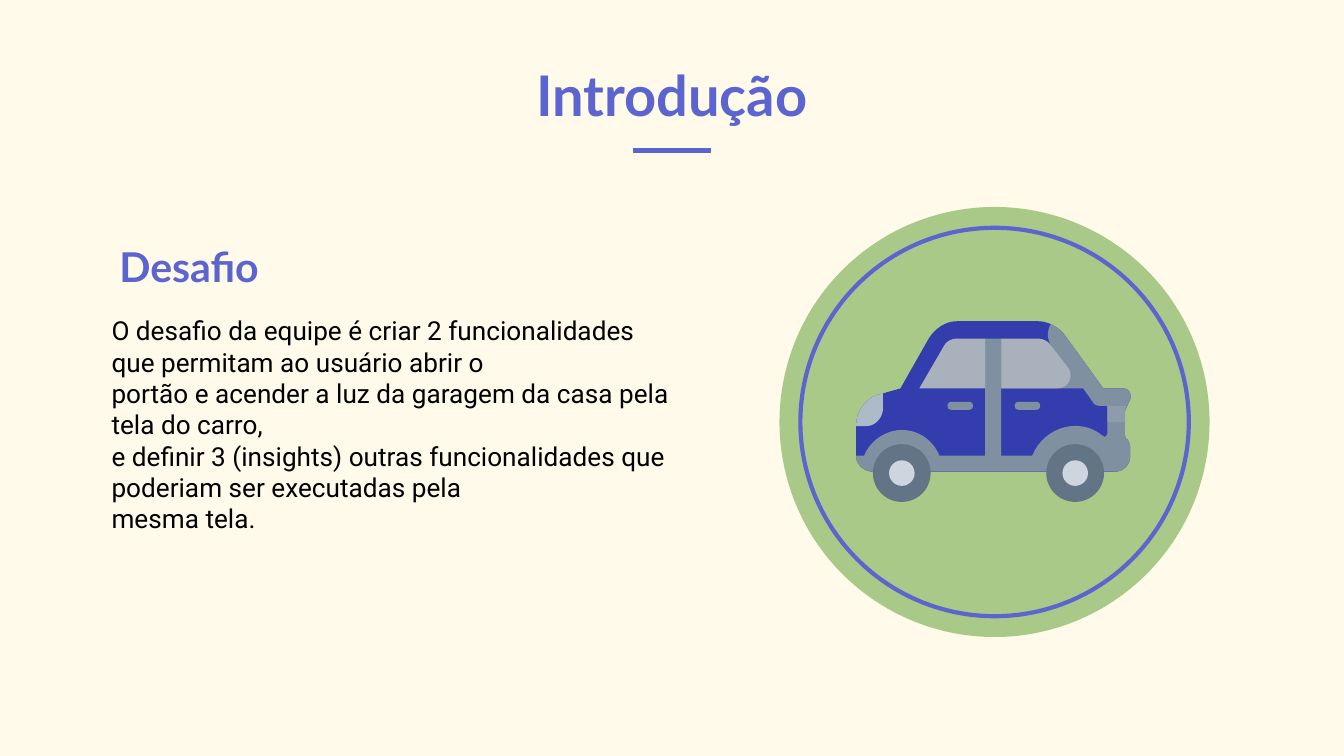
from lxml.etree import SubElement
from pptx import Presentation
from pptx.dml.color import RGBColor
from pptx.enum.shapes import MSO_CONNECTOR as Connector, MSO_SHAPE as Shape
from pptx.enum.text import MSO_ANCHOR as Anchor, MSO_AUTO_SIZE as AutoSize, PP_ALIGN as Align
from pptx.oxml.ns import qn
from pptx.util import Inches, Pt

TITLE = "Introdução"
HEADING = "Desafio"
CHALLENGE = [
    "O desafio da equipe é criar 2 funcionalidades que permitam ao usuário abrir o",
    "portão e acender a luz da garagem da casa pela tela do carro,",
    "e definir 3 (insights) outras funcionalidades que poderiam ser executadas pela",
    "mesma tela.",
]
COLORS = {
    "cream": "FFFAEA", "violet": "5C65CF", "green": "A8C987", "black": "000000",
    "paint": "333DAD", "trim": "7F91A0", "glass": "A9B2BC", "tyre": "637486",
    "hub": "CDD5DE", "headlight": "ADBAC8", "tail light": "8C9CAA",
}
WIDTH = 10
HEIGHT = WIDTH * 9 / 16
BADGE_CENTER = (7.4, 3.14)
WHEEL_CENTERS = [(6.71, 3.52), (8, 3.52)]
CURVE_STEPS = 10

# Outlines in inches: M moves, L draws a line, C draws a cubic curve, Z closes.
REAR = """L 8.29 3.51 C 8.36 3.51 8.41 3.46 8.41 3.39 L 8.41 3.33
    C 8.41 3.31 8.4 3.29 8.39 3.27 C 8.37 3.26 8.37 3.24 8.37 3.22 L 8.37 3.06
    L 8.41 2.97 C 8.42 2.93 8.4 2.89 8.36 2.89 L 8.21 2.89 L 7.92 2.49"""
HANDLES = " ".join(
    f"M {x:.2f} 2.99 C {x - .04:.2f} 2.99 {x - .04:.2f} 3.05 {x:.2f} 3.05 "
    f"L {x + .13:.2f} 3.05 C {x + .17:.2f} 3.05 {x + .17:.2f} 2.99 {x + .13:.2f} 2.99 Z"
    for x in (7.08, 7.58))
REAR_DOOR = """M 8.06 2.89 L 8.13 2.99 C 8.14 3.01 8.16 3.02 8.18 3.02 L 8.24 3.02
    L 8.24 3.22 C 8.24 3.23 8.23 3.25 8.22 3.25 C 8.21 3.25 8.21 3.24 8.2 3.24
    C 8.14 3.19 8.07 3.17 8 3.17 C 7.87 3.17 7.74 3.25 7.68 3.39
    L 7.45 3.39 L 7.45 2.89 Z"""
CAR_PARTS = [
    ("paint", f"""M 7.12 2.39 C 7.04 2.39 6.96 2.44 6.91 2.52 L 6.7 2.89 L 6.56 2.93
        C 6.45 2.95 6.37 3.05 6.37 3.17 L 6.37 3.39 C 6.37 3.46 6.43 3.51 6.5 3.51
        {REAR} C 7.87 2.43 7.8 2.39 7.72 2.39 Z"""),
    ("trim", f"""{HANDLES} {REAR_DOOR} M 7.82 2.41 C 7.79 2.46 7.79 2.52 7.82 2.57
        L 7.94 2.74 L 7.67 2.74 L 7.45 2.52 L 7.33 2.52 L 7.33 3.39 L 6.99 3.39
        C 6.94 3.27 6.83 3.2 6.71 3.2 C 6.6 3.2 6.48 3.27 6.43 3.39 L 6.37 3.39
        C 6.37 3.46 6.43 3.51 6.5 3.51 {REAR} C 7.89 2.46 7.86 2.43 7.82 2.41 Z"""),
    ("glass", "M 7.12 2.52 C 7.08 2.52 7.04 2.54 7.02 2.58 L 6.84 2.89 L 7.33 2.89 L 7.33 2.52 Z"),
    ("glass", """M 7.45 2.52 L 7.45 2.89 L 7.87 2.89 C 7.95 2.89 7.99 2.8 7.95 2.74
        L 7.82 2.57 C 7.8 2.54 7.76 2.52 7.72 2.52 Z"""),
    ("headlight", """M 6.57 2.92 L 6.56 2.93 C 6.45 2.95 6.37 3.05 6.37 3.17 L 6.45 3.17
        C 6.51 3.17 6.57 3.11 6.57 3.04 Z"""),
    ("tail light", "M 8.24 3.02 L 8.24 3.14 L 8.37 3.14 L 8.37 3.06 L 8.38 3.02 Z"),
]


def rgb(color):
    """Look up a named colour."""
    return RGBColor.from_string(COLORS[color])


def place(shape, left, top, width, height):
    """Set a shape's box in inches."""
    shape.left, shape.top = Inches(left), Inches(top)
    shape.width, shape.height = Inches(width), Inches(height)


def paint(shape, fill=None, line=None, weight=0):
    """Give a shape a flat fill and an optional outline."""
    shape.shadow.inherit = False
    if fill:
        shape.fill.solid()
        shape.fill.fore_color.rgb = rgb(fill)
    else:
        shape.fill.background()
    if line:
        shape.line.color.rgb, shape.line.width = rgb(line), Pt(weight)
    else:
        shape.line.fill.background()


def add_circle(center, diameter, **style):
    """Add a circle around a centre point."""
    left, top = (value - diameter / 2 for value in center)
    circle = slide.shapes.add_shape(
        Shape.OVAL, Inches(left), Inches(top), Inches(diameter), Inches(diameter))
    paint(circle, **style)


def curve_points(start, controls):
    """Sample a cubic curve as short straight steps."""
    for step in range(1, CURVE_STEPS + 1):
        t = step / CURVE_STEPS
        weights = ((1 - t) ** 3, 3 * t * (1 - t) ** 2, 3 * t * t * (1 - t), t ** 3)
        yield tuple(sum(w * p[axis] for w, p in zip(weights, (start, *controls)))
                    for axis in (0, 1))


def contours(outline):
    """Turn an outline into one list of points per contour."""
    tokens = iter(outline.split())
    result = []
    for command in tokens:
        if command == "Z":
            continue
        count = 3 if command == "C" else 1
        points = [(float(next(tokens)), float(next(tokens))) for _ in range(count)]
        if command == "M":
            result.append(points)
        elif command == "L":
            result[-1] += points
        else:
            result[-1] += list(curve_points(result[-1][-1], points))
    return [[(Inches(x), Inches(y)) for x, y in contour] for contour in result]


def add_outline(color, outline):
    """Add a filled freeform."""
    first, *others = contours(outline)
    builder = slide.shapes.build_freeform(*first[0], scale=1.0)
    builder.add_line_segments(first[1:], close=True)
    for contour in others:
        builder.move_to(*contour[0])
        builder.add_line_segments(contour[1:], close=True)
    paint(builder.convert_to_shape(), fill=color)


def write(shape, lines, font, size, color, bold=False, align=Align.LEFT, anchor=Anchor.TOP):
    """Fill a text shape and format its paragraphs."""
    frame = shape.text_frame
    frame.text = "\n".join(lines)
    frame.word_wrap, frame.auto_size = True, AutoSize.NONE
    frame.vertical_anchor = anchor
    frame.margin_left = frame.margin_right = Inches(0.1)
    frame.margin_top = frame.margin_bottom = Inches(0.1)
    for paragraph in frame.paragraphs:
        paragraph.alignment = align
        paragraph.space_before = Pt(0)
        for run in paragraph.runs:
            run.font.name, run.font.size, run.font.bold = font, Pt(size), bold
            run.font.color.rgb = rgb(color)


prs = Presentation()
prs.slide_width, prs.slide_height = Inches(WIDTH), Inches(HEIGHT)
slide = prs.slides.add_slide(prs.slide_layouts[1])
slide.background.fill.solid()
slide.background.fill.fore_color.rgb = rgb("cream")

title, challenge = slide.shapes.title, slide.placeholders[1]
place(title, 0.78, 0.22, 8.44, 0.83)
write(title, [TITLE], "Lato", 30, "violet", True, Align.CENTER, Anchor.BOTTOM)

place(challenge, 0.58, 2.24, 4.59, 2.37)
write(challenge, CHALLENGE, "Roboto", 14, "black")
for paragraph in challenge.text_frame.paragraphs:
    properties = paragraph._p.get_or_add_pPr()
    properties.set("marL", str(Inches(0.15)))
    properties.set("indent", "0")
    SubElement(properties, qn("a:buNone"))

heading = slide.shapes.add_textbox(0, 0, 0, 0)
place(heading, 0.79, 1.7, 4.18, 0.55)
write(heading, [HEADING], "Lato", 22, "violet", True)

underline = slide.shapes.add_connector(
    Connector.STRAIGHT, Inches(4.71), Inches(1.12), Inches(5.29), Inches(1.12))
underline.line.color.rgb, underline.line.width = rgb("violet"), Pt(3)
SubElement(underline._element.spPr, qn("a:effectLst"))

add_circle(BADGE_CENTER, 3.2, fill="green")
add_circle(BADGE_CENTER, 2.89, line="violet", weight=2.24)
for color, outline in CAR_PARTS:
    add_outline(color, outline)
for center in WHEEL_CENTERS:
    add_circle(center, 0.43, fill="tyre")
    add_circle(center, 0.19, fill="hub")

prs.save("out.pptx")
